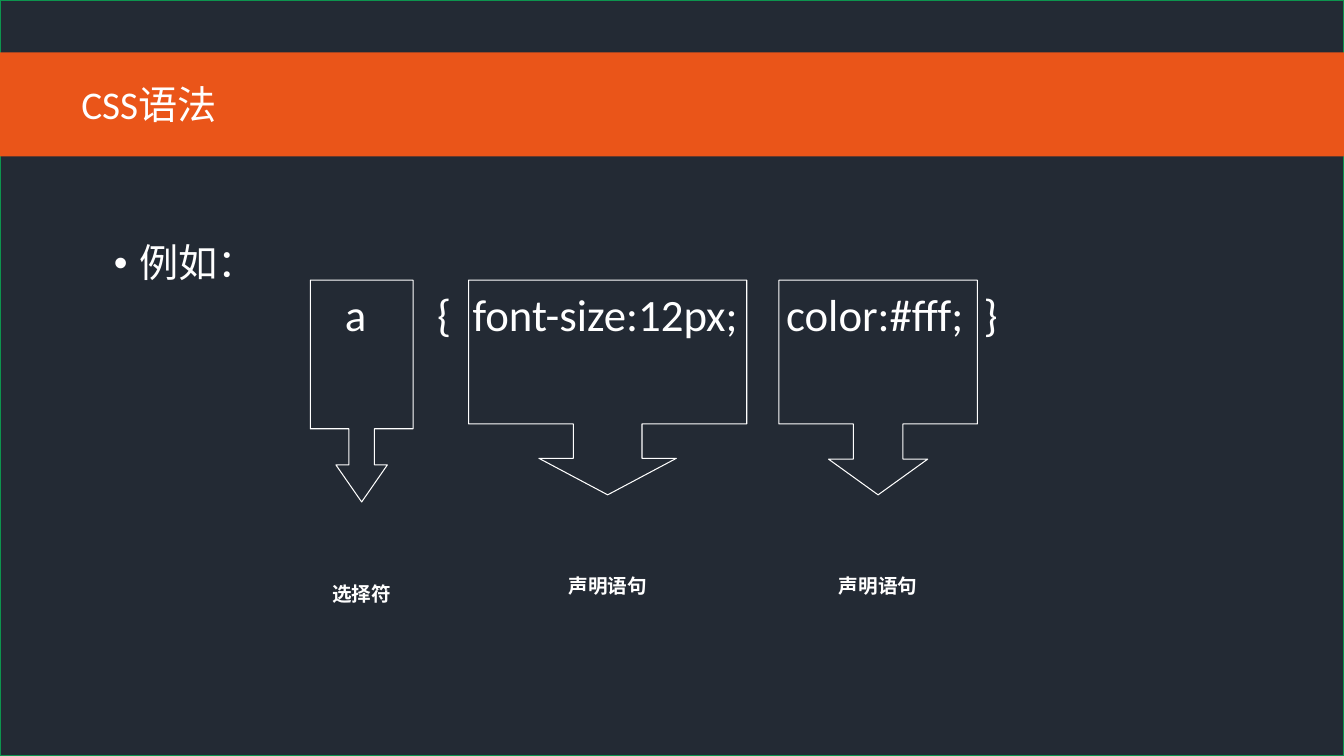
import dataclasses
import typing

import pptx
import pptx.dml.color
import pptx.enum.shapes
import pptx.enum.text
import pptx.oxml
import pptx.oxml.ns
import pptx.util

Cm = pptx.util.Cm
Pt = pptx.util.Pt
Align = pptx.enum.text.PP_ALIGN
Anchor = pptx.enum.text.MSO_ANCHOR
Shape = pptx.enum.shapes.MSO_SHAPE


@dataclasses.dataclass(frozen=True)
class Theme:
    background: str = "232A34"
    edge: str = "0D944E"
    banner: str = "EA5519"
    light: str = "FFFFFF"
    main_font: str = "Calibri"
    label_font: str = "Lato"
    heading_size: float = 28
    code_size: float = 32
    label_size: float = 14


class Area(typing.NamedTuple):
    """Left, top, width and height in centimetres."""
    left: float
    top: float
    width: float
    height: float

    def lengths(self) -> list[pptx.util.Length]:
        return [Cm(value) for value in self]


@dataclasses.dataclass(frozen=True)
class Callout:
    label: str
    area: Area
    adjustments: tuple[float, ...]


THEME = Theme()
PAGE = Area(0, 0, 33.87, 19.05)
LABEL_GAP, LABEL_HEIGHT = 1.6, 1.4
CODE_TOKENS = ("a", "{", "font-size:12px;", "color:#fff;", "}")
CODE_STOPS = (5.82, 8.15, 9.04, 16.94, 21.92)
CALLOUTS = (
    Callout("声明语句", Area(11.81, 7.06, 7.01, 5.41), (0.32, 0.32, 0.17, 0.67)),
    Callout("声明语句", Area(19.63, 7.06, 5, 5.41), (0.25, 0.25, 0.18, 0.67)),
    Callout("选择符", Area(7.82, 7.06, 2.59, 5.59), (0.25, 0.25, 0.36, 0.67)),
)


def apply_format(target: typing.Any, values: dict[str, typing.Any]) -> None:
    for name, value in values.items():
        setattr(target, name, value)


def colour(code: str) -> pptx.dml.color.RGBColor:
    return pptx.dml.color.RGBColor.from_string(code)


def add_shape(page: typing.Any, kind: Shape, area: Area, fill: str = "",
              line: str = "", line_width: float = 1) -> typing.Any:
    """Draw a preset shape; an empty colour leaves out the fill or line."""
    shape = page.shapes.add_shape(kind, *area.lengths())
    shape.shadow.inherit = False
    if fill:
        shape.fill.solid()
        shape.fill.fore_color.rgb = colour(fill)
    else:
        shape.fill.background()
    if line:
        shape.line.color.rgb = colour(line)
        shape.line.width = Pt(line_width)
    else:
        shape.line.fill.background()
    return shape


def add_text_frame(page: typing.Any, area: Area, **values: typing.Any) -> typing.Any:
    frame = page.shapes.add_textbox(*area.lengths()).text_frame
    apply_format(frame, {"word_wrap": True, **values})
    return frame


def write(para: typing.Any, text: str, size: float,
          font: str = THEME.main_font, bold: bool = False) -> None:
    span = para.add_run()
    span.text = text
    apply_format(span.font, {"name": font, "size": Pt(size), "bold": bold})
    span.font.color.rgb = colour(THEME.light)


def add_bullet(para: typing.Any, indent: float) -> None:
    properties = para._p.get_or_add_pPr()
    properties.set("marL", str(Cm(indent)))
    properties.set("indent", str(-Cm(indent)))
    namespace = pptx.oxml.ns.nsdecls("a")
    properties.append(pptx.oxml.parse_xml(
        f'<a:buClr {namespace}><a:srgbClr val="{THEME.light}"/></a:buClr>'))
    properties.append(pptx.oxml.parse_xml(
        f'<a:buFont {namespace} typeface="Arial"/>'))
    properties.append(pptx.oxml.parse_xml(f'<a:buChar {namespace} char="•"/>'))


def add_tab_stops(para: typing.Any, stops: typing.Iterable[float]) -> None:
    marks = "".join(f'<a:tab pos="{Cm(stop)}" algn="l"/>' for stop in stops)
    para._p.get_or_add_pPr().append(pptx.oxml.parse_xml(
        f'<a:tabLst {pptx.oxml.ns.nsdecls("a")}>{marks}</a:tabLst>'))


def add_title(page: typing.Any) -> None:
    frame = add_text_frame(page, Area(1.8, 1.9, 7.19, 1.45))
    write(frame.paragraphs[0], "CSS语法", THEME.heading_size)


def add_example(page: typing.Any) -> None:
    frame = add_text_frame(page, Area(2.62, 6.02, 29.21, 12.09))
    intro, code = frame.paragraphs[0], frame.add_paragraph()
    apply_format(intro, {"line_spacing": 0.9, "space_before": Pt(10)})
    add_bullet(intro, 0.64)
    write(intro, "例如：", THEME.heading_size)
    apply_format(code, {"line_spacing": 0.9, "space_before": Pt(5)})
    add_tab_stops(code, CODE_STOPS)
    write(code, "".join(f"\t{token}" for token in CODE_TOKENS), THEME.code_size)


def add_callout(page: typing.Any, callout: Callout) -> None:
    area = callout.area
    arrow = add_shape(page, Shape.DOWN_ARROW_CALLOUT, area,
                      line=THEME.light, line_width=0.75)
    for index, value in enumerate(callout.adjustments):
        arrow.adjustments[index] = value
    label_area = area._replace(top=area.top + area.height + LABEL_GAP,
                               height=LABEL_HEIGHT)
    frame = add_text_frame(page, label_area, word_wrap=False,
                           vertical_anchor=Anchor.MIDDLE)
    para = frame.paragraphs[0]
    para.alignment = Align.CENTER
    write(para, callout.label, THEME.label_size, THEME.label_font, bold=True)


def main() -> None:
    deck = pptx.Presentation()
    apply_format(deck, {"slide_width": Cm(PAGE.width),
                        "slide_height": Cm(PAGE.height)})
    page = deck.slides.add_slide(deck.slide_layouts[6])
    add_shape(page, Shape.RECTANGLE, PAGE, THEME.background, THEME.edge)
    add_shape(page, Shape.RECTANGLE, Area(0, 1.32, PAGE.width, 2.62), THEME.banner)
    add_title(page)
    add_example(page)
    for callout in CALLOUTS:
        add_callout(page, callout)
    deck.save("out.pptx")


if __name__ == "__main__":
    main()
